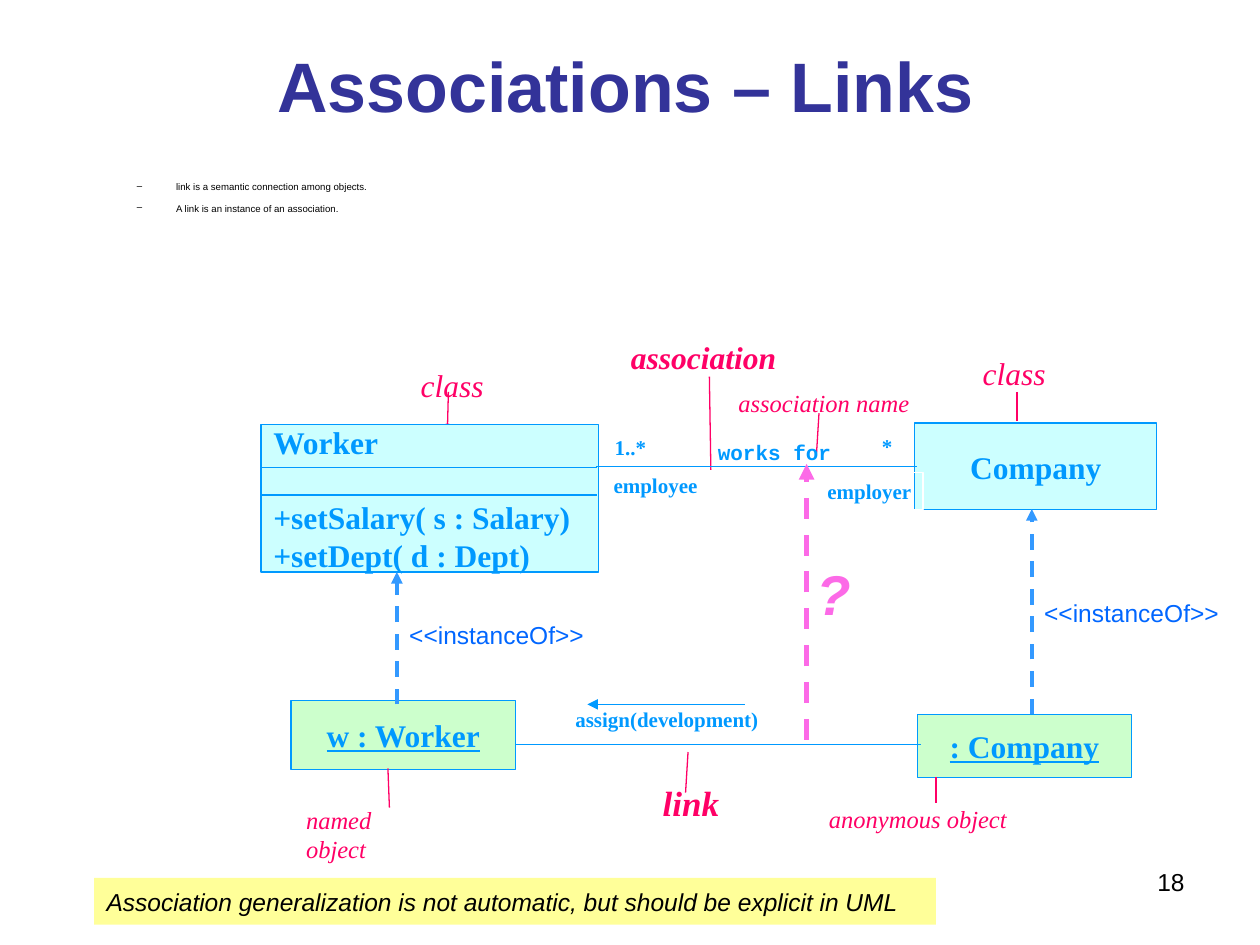
from lxml.etree import SubElement
from pptx import Presentation
from pptx.dml.color import RGBColor
from pptx.enum.dml import MSO_LINE
from pptx.enum.shapes import MSO_CONNECTOR, MSO_SHAPE
from pptx.enum.text import MSO_ANCHOR as Anchor, PP_ALIGN as Align
from pptx.oxml.ns import qn
from pptx.util import Cm, Pt

BLACK = RGBColor(0x00, 0x00, 0x00)
WHITE = RGBColor(0xFF, 0xFF, 0xFF)
NAVY = RGBColor(0x33, 0x33, 0x99)
YELLOW = RGBColor(0xFF, 0xFF, 0x99)
CYAN = RGBColor(0xCC, 0xFF, 0xFF)
GREEN = RGBColor(0xCC, 0xFF, 0xCC)
UML_BLUE = RGBColor(0x00, 0x99, 0xFF)
STEREOTYPE_BLUE = RGBColor(0x00, 0x66, 0xFF)
INSTANCE_BLUE = RGBColor(0x33, 0x99, 0xFF)
CRIMSON = RGBColor(0xFF, 0x00, 0x66)
PINK = RGBColor(0xFC, 0x6A, 0xE7)
SANS, SERIF, MONO = "Arial", "Times New Roman", "Courier New"


class Diagram:
    """Draws on one slide; all positions and sizes are in centimetres."""

    def __init__(self, slide):
        self.shapes = slide.shapes

    def fill_text(self, shape, lines, size, color, font=SERIF, bold=False, italic=False,
                  underline=False, align=Align.LEFT, anchor=Anchor.TOP, wrap=True):
        frame = shape.text_frame
        frame.text = lines
        frame.word_wrap = wrap
        frame.vertical_anchor = anchor
        for paragraph in frame.paragraphs:
            paragraph.alignment = align
            for run in paragraph.runs:
                run.font.name, run.font.size = font, Pt(size)
                run.font.bold, run.font.italic = bold, italic
                run.font.underline = underline
                run.font.color.rgb = color
        return frame

    def text(self, at, lines, size, color, **style):
        box = self.shapes.add_textbox(*map(Cm, at))
        return self.fill_text(box, lines, size, color, **style)

    def box(self, at, lines, size=18, color=UML_BLUE, fill=None, line=UML_BLUE, **style):
        rectangle = self.shapes.add_shape(MSO_SHAPE.RECTANGLE, *map(Cm, at))
        rectangle.shadow.inherit = False
        if fill is None:
            rectangle.fill.background()
        else:
            rectangle.fill.solid()
            rectangle.fill.fore_color.rgb = fill
        if line is None:
            rectangle.line.fill.background()
        else:
            rectangle.line.color.rgb = line
            rectangle.line.width = Pt(0.75)
        self.fill_text(rectangle, lines, size, color, **style)
        return rectangle

    def role(self, at, name, wrap=False):
        self.box(at, name, 12, line=WHITE, bold=True, wrap=wrap)

    def note(self, at, name, size=18, bold=False, align=Align.LEFT):
        self.text(at, name, size, CRIMSON, bold=bold, italic=True, align=align, wrap=False)

    def line(self, ends, color=UML_BLUE, width=0.75, dashed=False, tail=None):
        connector = self.shapes.add_connector(MSO_CONNECTOR.STRAIGHT, *map(Cm, ends))
        connector.line.color.rgb = color
        connector.line.width = Pt(width)
        if dashed:
            connector.line.dash_style = MSO_LINE.DASH
        properties = connector._element.spPr
        if tail:
            SubElement(properties.find(qn("a:ln")), qn("a:tailEnd"), type=tail)
        SubElement(properties, qn("a:effectLst"))
        return connector

    def bullets(self, at, lines, size):
        frame = self.text(at, lines, size, BLACK, font=SANS)
        for index, paragraph in enumerate(frame.paragraphs):
            properties = paragraph._p.get_or_add_pPr()
            properties.set("marL", str(Cm(2.06)))
            properties.set("indent", str(Cm(-0.79)))
            SubElement(properties, qn("a:buChar"), char="–")
            if index:
                paragraph.space_before = Pt(size)


def main():
    deck = Presentation()
    deck.slide_width, deck.slide_height = Cm(25.4), Cm(19.05)
    diagram = Diagram(deck.slides.add_slide(deck.slide_layouts[6]))

    # Title, definitions, conclusion and page number
    diagram.text((18.21, 17.35, 5.92, 1.32), "18", 14, BLACK, font=SANS, align=Align.RIGHT)
    diagram.box((1.9, 17.7, 16.97, 0.94),
                "Association generalization is not automatic, but should be explicit in UML",
                14, BLACK, YELLOW, None, font=SANS, italic=True, anchor=Anchor.MIDDLE)
    diagram.text((1.9, 0.97, 21.41, 1.47), "Associations – Links", 40, NAVY, font=SANS,
                 bold=True, align=Align.CENTER, anchor=Anchor.MIDDLE)
    diagram.bullets((1.24, 3.53, 21.67, 2.77),
                    "link is a semantic connection among objects.\n"
                    "A link is an instance of an association.", 5.5)

    # Company class and the roles of the association
    centred = dict(bold=True, align=Align.CENTER, anchor=Anchor.MIDDLE)
    diagram.box((18.44, 8.53, 4.88, 1.75), "Company", fill=CYAN, **centred)
    diagram.role((12.14, 8.64, 1.14, 0.76), "1..*")
    diagram.role((17.53, 8.61, 0.71, 0.76), "*")
    diagram.role((12.12, 9.4, 2.18, 0.76), "employee")
    diagram.role((16.43, 9.52, 2.18, 0.76), "employer")

    # Objects, their link and its message
    diagram.box((18.49, 14.4, 4.32, 1.27), ": Company", fill=GREEN, underline=True, **centred)
    diagram.line((10.39, 15.01, 18.57, 15.01))
    diagram.role((11.35, 14.12, 4.9, 0.76), "assign(development)", wrap=True)
    diagram.box((5.87, 14.12, 4.52, 1.4), "w : Worker", fill=GREEN, underline=True, **centred)
    diagram.line((15.01, 14.2, 11.84, 14.2), tail="triangle")

    # Red annotations and their leader lines
    diagram.note((13.11, 15.62, 1.65, 1.12), "link", 20, bold=True)
    diagram.note((5.92, 16.1, 3.15, 0.86), "named object", 14)
    diagram.note((16.46, 16.08, 4.09, 0.86), "anonymous object", 14)
    diagram.note((8.23, 7.26, 1.78, 1.02), "class")
    diagram.note((12.47, 6.68, 3.43, 1.02), "association", bold=True)
    diagram.note((19.56, 7.01, 1.78, 1.02), "class")
    diagram.note((14.63, 7.7, 3.96, 0.86), "association name", 14, align=Align.CENTER)
    for leader in ((7.85, 16.28, 7.82, 15.49), (13.82, 15.98, 13.87, 15.16),
                   (18.87, 16.18, 18.87, 15.67), (20.5, 7.9, 20.5, 8.48),
                   (14.3, 7.59, 14.33, 9.47), (16.46, 9.14, 16.51, 8.33)):
        diagram.line(leader, CRIMSON)
    diagram.line((9.04, 7.9, 9.02, 8.64), CRIMSON, tail="oval")

    # Worker class with its compartments
    worker = diagram.box((5.26, 8.56, 6.81, 2.97),
                         "Worker\n+setSalary( s : Salary)\n+setDept( d : Dept)",
                         fill=CYAN, bold=True, anchor=Anchor.MIDDLE)
    worker.text_frame.paragraphs[1].space_before = Pt(21)
    dividers = [diagram.line((5.26, y, 12.04, y)) for y in (9.42, 9.98)]
    diagram.shapes.add_group_shape([worker, *dividers])

    # Association between the classes
    diagram.line((12.01, 9.4, 18.49, 9.4))
    diagram.text((14.22, 8.74, 3.05, 0.76), "works for", 12, UML_BLUE, font=MONO,
                 bold=True, wrap=False)

    # Instance-of arrows from objects to classes
    for x, label_top, bottom, top in ((8, 12.37, 14.2, 11.53), (20.8, 11.94, 14.4, 10.26)):
        diagram.text((x, label_top, 4.04, 0.86), "<<instanceOf>>", 14, STEREOTYPE_BLUE,
                     font=SANS, wrap=False)
        diagram.line((x, bottom, x, top), INSTANCE_BLUE, 2.25, dashed=True, tail="triangle")

    # Open question: is the link an instance of the association?
    diagram.line((16.26, 14.91, 16.26, 9.35), PINK, 3, dashed=True, tail="triangle")
    diagram.text((16.21, 11.15, 1.19, 1.63), "?", 32, PINK, font=SANS, bold=True,
                 italic=True, wrap=False)

    deck.save("out.pptx")


if __name__ == "__main__":
    main()
